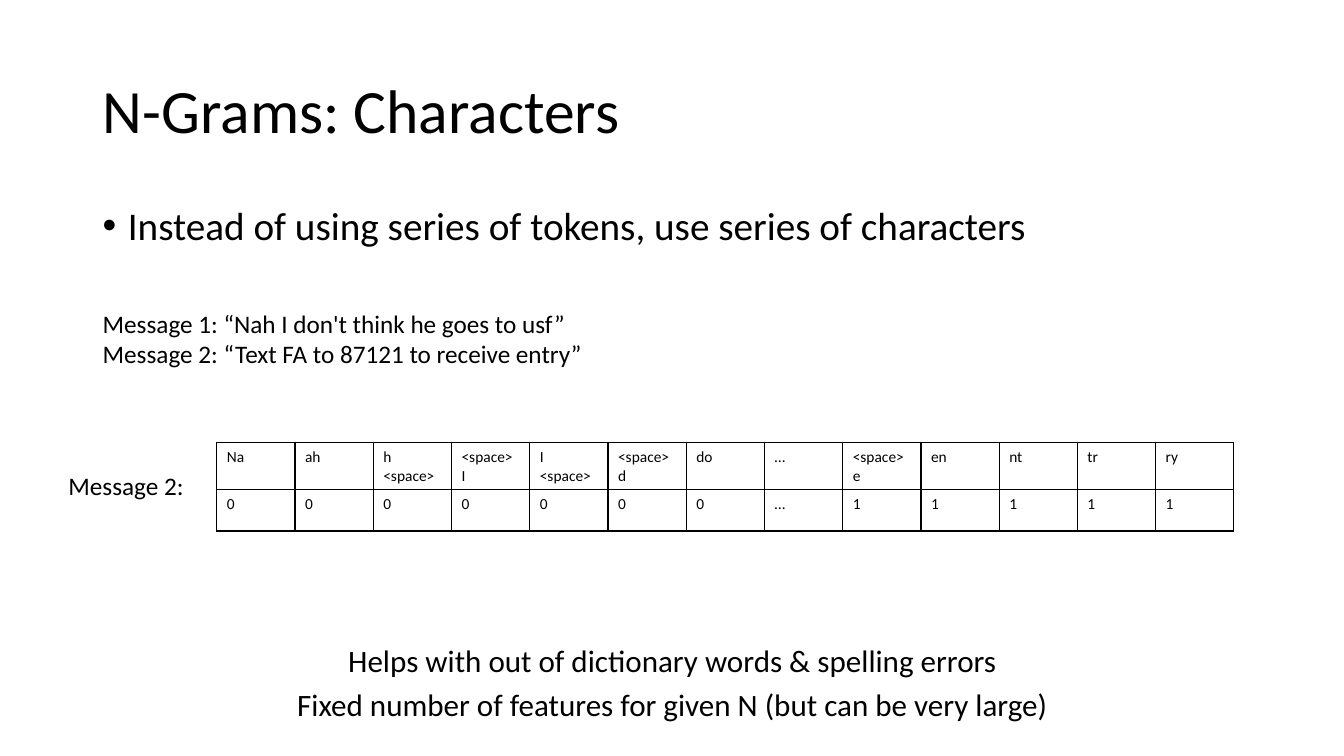
from dataclasses import dataclass

from lxml.etree import SubElement
from pptx import Presentation
from pptx.dml.color import RGBColor
from pptx.enum.text import MSO_ANCHOR, MSO_AUTO_SIZE, PP_ALIGN
from pptx.oxml import parse_xml
from pptx.oxml.ns import nsdecls, qn
from pptx.util import Inches, Pt


@dataclass(frozen=True)
class Theme:
    """Colours, font and type sizes of the slide."""
    font: str = "Calibri"
    ink: RGBColor = RGBColor(0, 0, 0)
    title: float = 44
    body: float = 28
    close: float = 22.2
    note: float = 18
    cell: float = 11
    rule: float = 1


def write(frame, text, theme, size, align=PP_ALIGN.LEFT, line=None,
          before=0, bullet=False, anchor=MSO_ANCHOR.TOP, wrap=True):
    """Fill a text frame, one paragraph for each line of text."""
    frame.word_wrap = wrap
    frame.vertical_anchor = anchor
    for i, words in enumerate(text.split("\n")):
        para = frame.paragraphs[0] if i == 0 else frame.add_paragraph()
        para.alignment = align
        para.space_before = Pt(before)
        if line:
            para.line_spacing = line
        if bullet:
            props = para._p.get_or_add_pPr()
            props.set("marL", str(Inches(0.25)))
            props.set("indent", str(-Inches(0.25)))
            SubElement(props, qn("a:buFont")).set("typeface", "Arial")
            SubElement(props, qn("a:buChar")).set("char", "•")
        run = para.add_run()
        run.text = words
        run.font.name = theme.font
        run.font.size = Pt(size)
        run.font.color.rgb = theme.ink


class Deck:
    """Hold the theme and the current slide."""

    def __init__(self, theme):
        """Open a wide deck with one title-only slide."""
        self.theme = theme
        self.file = Presentation()
        self.file.slide_width = Inches(13.33)
        self.file.slide_height = Inches(7.5)
        self.slide = self.file.slides.add_slide(self.file.slide_layouts[5])

    def title(self, text, left, top, width, height):
        """Place and format the title."""
        shape = self.slide.shapes.title
        shape.left, shape.top = Inches(left), Inches(top)
        shape.width, shape.height = Inches(width), Inches(height)
        shape.text_frame.auto_size = MSO_AUTO_SIZE.NONE
        write(shape.text_frame, text, self.theme, self.theme.title,
              line=0.9, anchor=MSO_ANCHOR.MIDDLE)

    def text(self, text, left, top, width, height, size, **style):
        """Add a text box."""
        box = self.slide.shapes.add_textbox(
            Inches(left), Inches(top), Inches(width), Inches(height))
        write(box.text_frame, text, self.theme, size, **style)

    def table(self, rows, left, top, width, height):
        """Add a plain ruled table."""
        grid = self.slide.shapes.add_table(
            len(rows), len(rows[0]), Inches(left), Inches(top),
            Inches(width), Inches(height)).table
        grid.first_row = grid.horz_banding = False
        for r, row in enumerate(rows):
            for c, text in enumerate(row):
                cell = grid.cell(r, c)
                write(cell.text_frame, text, self.theme, self.theme.cell)
                self.frame(cell)

    def frame(self, cell):
        """Rule all four sides of a cell and clear its fill."""
        props = cell._tc.get_or_add_tcPr()
        for side in ("lnL", "lnR", "lnT", "lnB"):
            props.append(parse_xml(
                f'<a:{side} {nsdecls("a")} w="{Pt(self.theme.rule)}">'
                f'<a:solidFill><a:srgbClr val="{self.theme.ink}"/>'
                f'</a:solidFill></a:{side}>'))
        cell.fill.background()


def main():
    """Build the slide and save it."""
    theme = Theme()
    deck = Deck(theme)
    deck.title("N-Grams: Characters", 0.92, 0.4, 11.5, 1.45)
    deck.text("Instead of using series of tokens, use series of characters",
              0.92, 2, 11.5, 0.8, theme.body, line=0.9, before=10, bullet=True)
    deck.text("Message 1: “Nah I don't think he goes to usf”\n"
              "Message 2: “Text FA to 87121 to receive entry”",
              0.92, 3.01, 10.09, 1.01, theme.note)
    grams = ["Na", "ah", "h <space>", "<space> I", "I <space>", "<space> d",
             "do", "…", "<space> e", "en", "nt", "tr", "ry"]
    counts = ["0"] * 7 + ["…"] + ["1"] * 5
    deck.table([grams, counts], 2.15, 4.39, 10.09, 0.82)
    deck.text("Message 2:", 0.58, 4.62, 1.36, 0.4, theme.note, wrap=False)
    deck.text("Helps with out of dictionary words & spelling errors\n"
              "Fixed number of features for given N (but can be very large)",
              0.92, 6.39, 11.5, 0.87, theme.close, align=PP_ALIGN.CENTER,
              line=0.8, before=10)
    deck.file.save("out.pptx")


if __name__ == "__main__":
    main()
